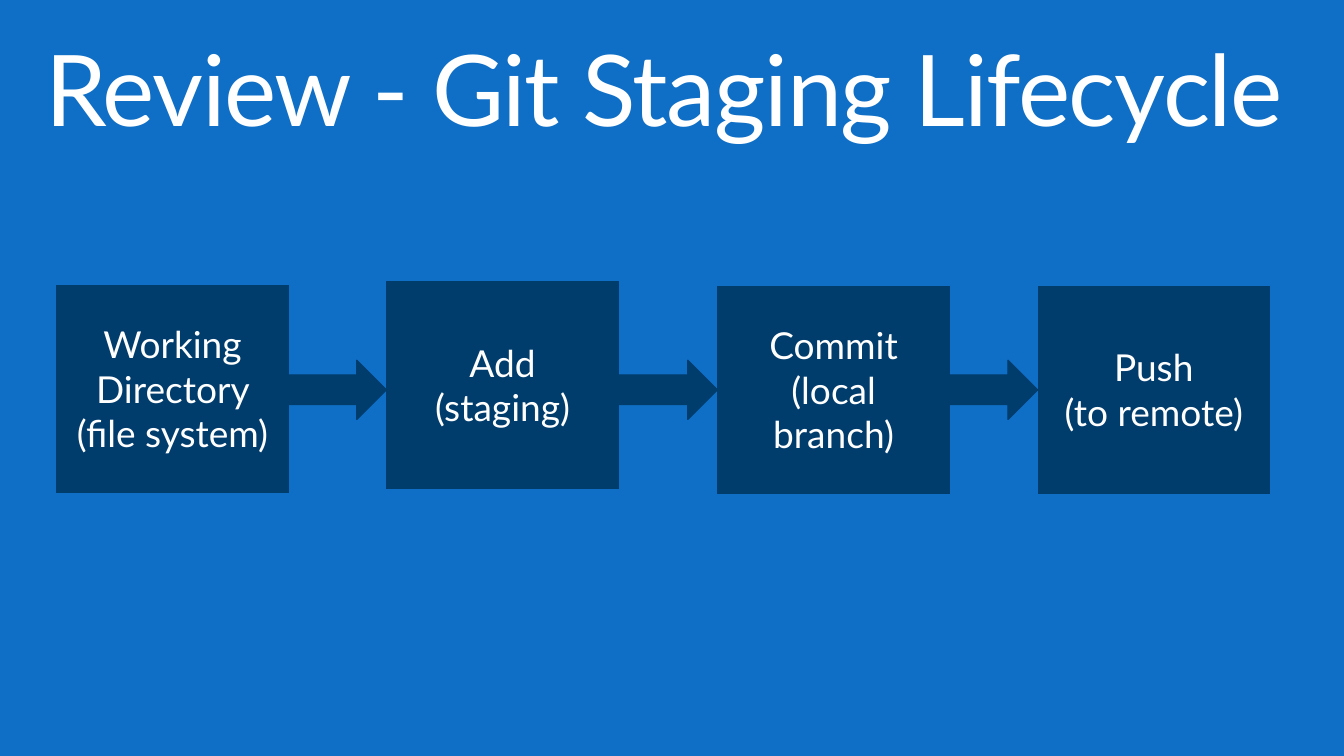
import pptx
import pptx.dml.color
import pptx.enum.shapes
import pptx.enum.text
import pptx.oxml
import pptx.oxml.ns
import pptx.util
from pptx.util import Inches

BLUE, NAVY, WHITE = "0F6FC6", "003C6C", "FFFFFF"
BOX_WIDTH, BOX_HEIGHT, ARROW_HEIGHT = 2.35, 2.11, 0.6
ARROW_MIDDLE = 3.945


def paint(fill, color):
    fill.solid()
    fill.fore_color.rgb = pptx.dml.color.RGBColor.from_string(color)


def write(para, text, size):
    """Add one white Lato run and return it."""
    span = para.add_run()
    span.text = text
    span.font.name = "Lato"
    span.font.size = pptx.util.Pt(size)
    paint(span.font.fill, WHITE)
    return span


deck = pptx.Presentation()
deck.slide_width, deck.slide_height = Inches(13.6), Inches(7.65)
page = deck.slides.add_slide(deck.slide_layouts[5])
paint(page.background.fill, BLUE)

title = page.shapes.title
title.left, title.top = Inches(0.3), Inches(0.32)
title.width, title.height = Inches(13), Inches(1)
frame = title.text_frame
frame.word_wrap = True
frame.auto_size = pptx.enum.text.MSO_AUTO_SIZE.NONE
frame.vertical_anchor = pptx.enum.text.MSO_ANCHOR.TOP
frame.margin_left = frame.margin_right = Inches(0.16)
frame.margin_top = frame.margin_bottom = Inches(0.1)
para = frame.paragraphs[0]
para.alignment = pptx.enum.text.PP_ALIGN.LEFT
para.line_spacing = 0.9
title_span = write(para, "Review - Git Staging Lifecycle", 72)
title_span.font._element.set("spc", "-100")

# Each stage: left, top, lines of text
stages = [
    (0.57, 2.88, ["Working Directory (file system)"]),
    (3.91, 2.84, ["Add (staging)"]),
    (7.26, 2.89, ["Commit (local branch)"]),
    (10.5, 2.89, ["Push", "(to remote)"]),
]
for left, top, lines in stages:
    box = page.shapes.add_table(
        1, 1, Inches(left), Inches(top), Inches(BOX_WIDTH), Inches(BOX_HEIGHT))
    box.table.first_row = False
    box.table.horz_banding = False
    cell = box.table.cell(0, 0)
    cell.vertical_anchor = pptx.enum.text.MSO_ANCHOR.MIDDLE
    cell.margin_left = cell.margin_right = Inches(0.14)
    cell.margin_top = cell.margin_bottom = Inches(0.07)
    for side in ("lnL", "lnR", "lnT", "lnB"):
        border = pptx.oxml.parse_xml(
            f'<a:{side} {pptx.oxml.ns.nsdecls("a")}><a:noFill/></a:{side}>')
        cell._tc.get_or_add_tcPr().append(border)
    paint(cell.fill, NAVY)
    for index, line in enumerate(lines):
        para = cell.text_frame.paragraphs[0] if index == 0 else cell.text_frame.add_paragraph()
        para.alignment = pptx.enum.text.PP_ALIGN.CENTER
        write(para, line, 27)

# An arrow fills the gap between each stage and the next
for stage, following in zip(stages, stages[1:]):
    start = stage[0] + BOX_WIDTH
    arrow = page.shapes.add_shape(
        pptx.enum.shapes.MSO_SHAPE.RIGHT_ARROW,
        Inches(start), Inches(ARROW_MIDDLE - ARROW_HEIGHT / 2),
        Inches(following[0] - start), Inches(ARROW_HEIGHT))
    arrow.shadow.inherit = False
    paint(arrow.fill, NAVY)
    paint(arrow.line.fill, NAVY)
    arrow.line.width = pptx.util.Pt(0.85)

deck.save("out.pptx")
